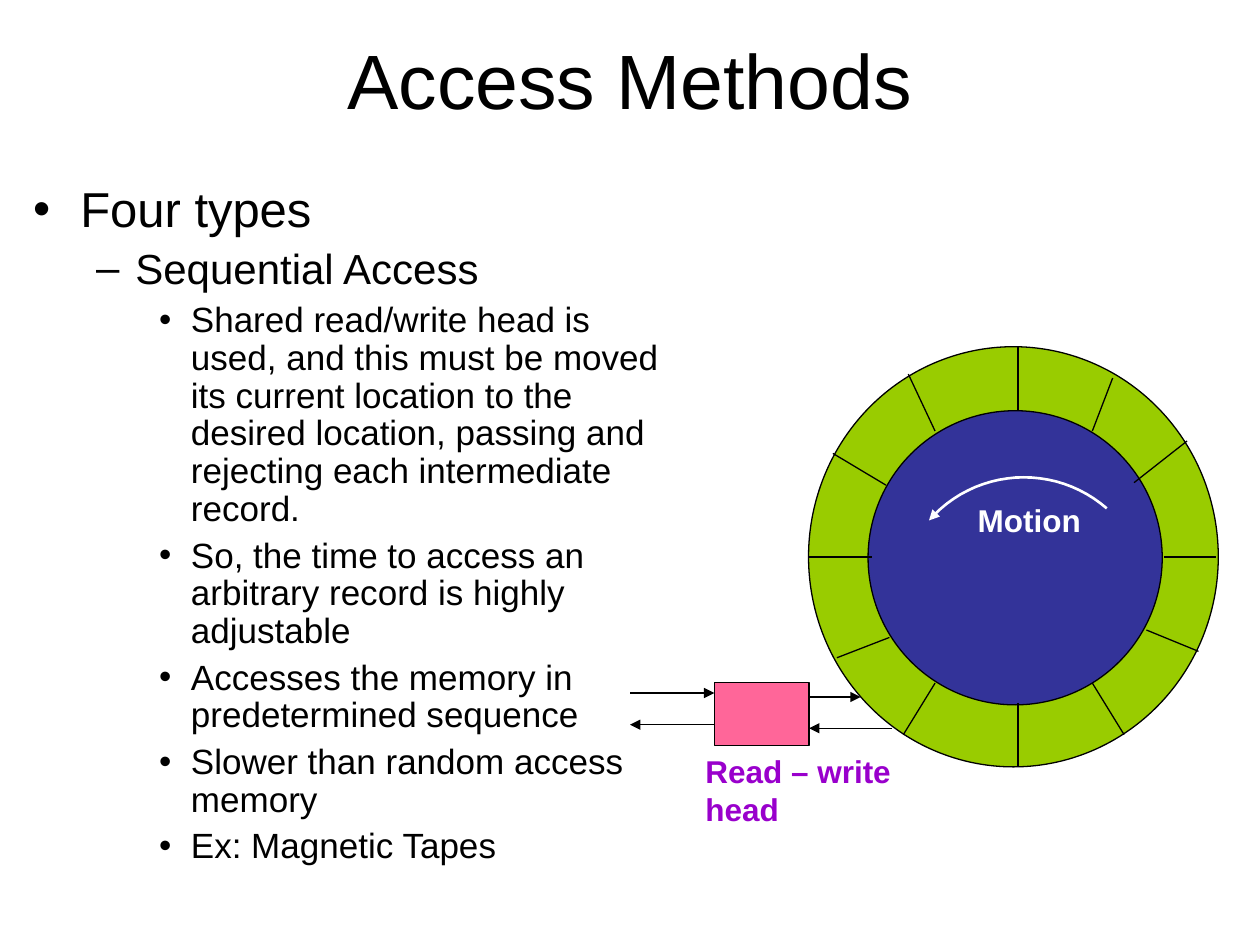
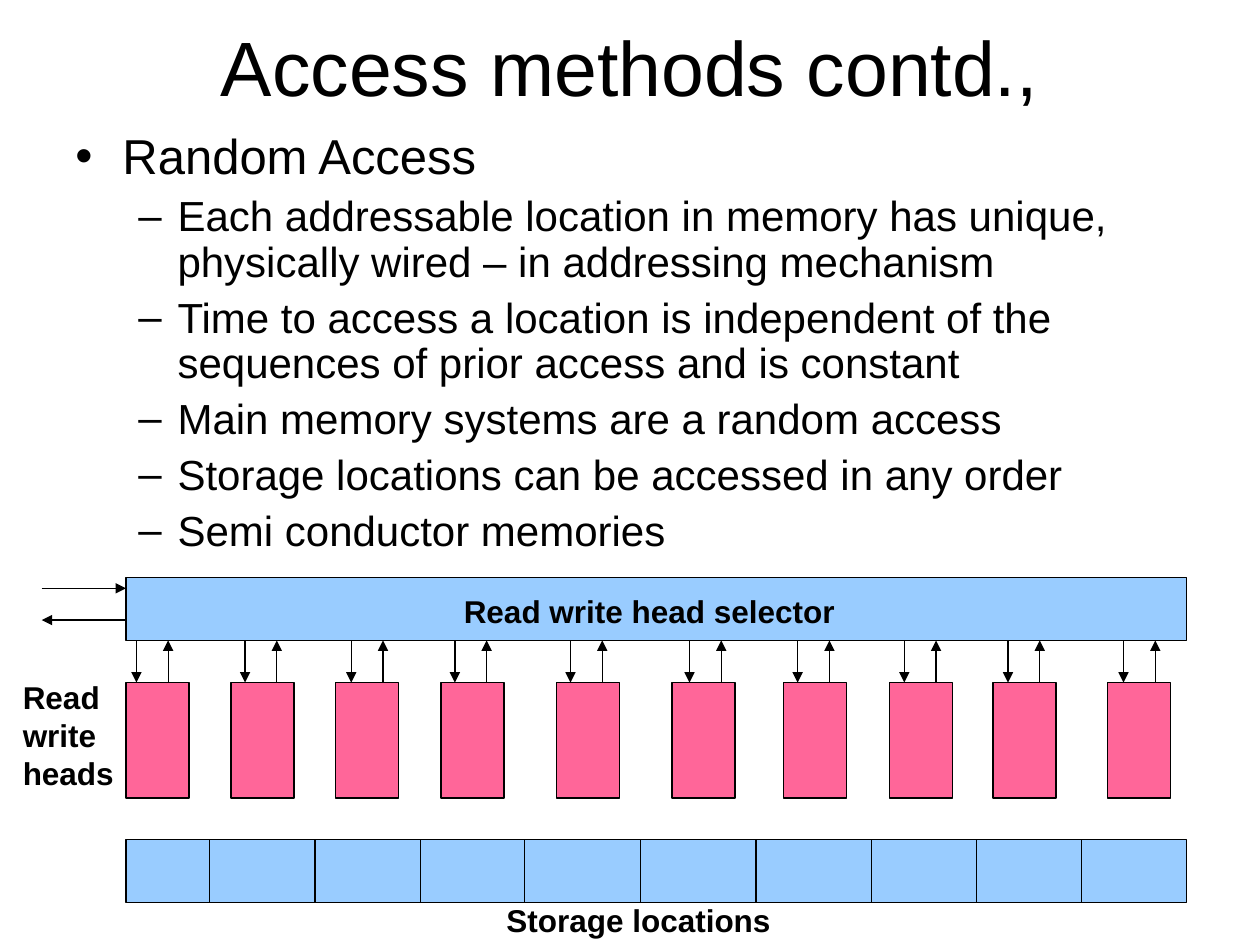
from dataclasses import dataclass
from math import cos, pi, sin
from typing import NamedTuple

from lxml import etree
from pptx import Presentation
from pptx.dml.color import RGBColor
from pptx.enum.shapes import MSO_CONNECTOR, MSO_SHAPE
from pptx.enum.text import MSO_ANCHOR, PP_ALIGN
from pptx.oxml.ns import qn
from pptx.slide import Slide
from pptx.text.text import TextFrame
from pptx.util import Cm, Pt

STRAIGHT = MSO_CONNECTOR.STRAIGHT
ELLIPSE = MSO_SHAPE.OVAL
RECTANGLE = MSO_SHAPE.RECTANGLE
MIDDLE = MSO_ANCHOR.MIDDLE
TOP = MSO_ANCHOR.TOP
CENTER = PP_ALIGN.CENTER
LEFT = PP_ALIGN.LEFT

BLACK = RGBColor(0x00, 0x00, 0x00)
WHITE = RGBColor(0xFF, 0xFF, 0xFF)
GREEN = RGBColor(0x99, 0xCC, 0x00)
NAVY = RGBColor(0x33, 0x33, 0x99)
PINK = RGBColor(0xFF, 0x66, 0x99)
SKY = RGBColor(0x99, 0xCC, 0xFF)
PURPLE = RGBColor(0x99, 0x00, 0xCC)

FONT = "Arial"
TITLE_SIZE = 44
LABEL_SIZE = 18
THIN = Pt(0.75)


class Area(NamedTuple):
    left: float
    top: float
    width: float
    height: float


class Segment(NamedTuple):
    x1: float
    y1: float
    x2: float
    y2: float


class Head(NamedTuple):
    left: float
    arrow: float


@dataclass(frozen=True)
class Level:
    bullet: str
    margin: float
    hang: float
    size: int
    before: int


@dataclass(frozen=True)
class Item:
    level: int
    text: str


@dataclass(frozen=True)
class Label:
    text: str
    area: Area
    color: RGBColor = BLACK
    wrap: bool = True


LEVELS = [
    Level("•", 0.95, 0.95, 28, 7),
    Level("–", 2.06, 0.79, 24, 6),
    Level("•", 3.18, 0.64, 20, 5),
]

SEQUENTIAL_ITEMS = [
    Item(0, "Four types"),
    Item(1, "Sequential Access"),
    Item(2, "Shared read/write head is used, and this must be moved its current "
            "location to the desired location, passing and rejecting each "
            "intermediate record."),
    Item(2, "So, the time to access an arbitrary record is highly adjustable"),
    Item(2, "Accesses the memory in predetermined sequence"),
    Item(2, "Slower than random access memory"),
    Item(2, "Ex: Magnetic Tapes"),
]

RANDOM_ITEMS = [
    Item(0, "Random Access"),
    Item(1, "Each addressable location in memory has unique, physically wired – "
            "in addressing mechanism"),
    Item(1, "Time to access a location is independent of the sequences of prior "
            "access and is constant"),
    Item(1, "Main memory systems are a random access"),
    Item(1, "Storage locations can be accessed in any order"),
    Item(1, "Semi conductor memories"),
]

SECTOR_LINES = [
    Segment(20.52, 14.17, 20.52, 15.44),
    Segment(20.52, 6.99, 20.52, 8.26),
    Segment(16.31, 11.23, 17.58, 11.23),
    Segment(23.47, 11.23, 24.51, 11.23),
    Segment(16.79, 9.14, 17.86, 9.78),
    Segment(18.31, 7.54, 18.85, 8.69),
    Segment(23.11, 12.7, 24.16, 13.13),
    Segment(22.02, 13.77, 22.66, 14.81),
    Segment(16.87, 13.26, 17.93, 12.85),
    Segment(18.21, 14.81, 18.85, 13.77),
    Segment(22.43, 7.62, 22.02, 8.69),
    Segment(23.93, 8.89, 22.86, 9.73),
]

HEAD_ARROWS = [
    Segment(12.7, 13.97, 14.4, 13.97),
    Segment(14.4, 14.61, 12.7, 14.61),
    Segment(17.98, 14.68, 16.31, 14.68),
    Segment(16.31, 14.05, 17.35, 14.05),
]

SELECTOR_ARROWS = [
    Segment(0.84, 11.86, 2.54, 11.86),
    Segment(2.54, 12.5, 0.84, 12.5),
]

HEADS = [
    Head(2.54, 2.75), Head(4.66, 4.94), Head(6.77, 7.08), Head(8.89, 9.17),
    Head(11.22, 11.5), Head(13.55, 13.9), Head(15.8, 16.08),
    Head(17.93, 18.23), Head(20.02, 20.32), Head(22.33, 22.65),
]
DIVIDERS = [4.23, 6.35, 8.47, 10.58, 12.91, 15.24, 17.57, 19.69, 21.8]

SELECTOR = Area(2.54, 11.64, 21.38, 1.27)
STORAGE = Area(2.54, 16.93, 21.38, 1.27)
HEAD_TOP = 13.76
HEAD_WIDTH = 1.27
HEAD_HEIGHT = 2.33
ARROW_GAP = 0.64

SEQUENTIAL_LABELS = [
    Label("Read – write head", Area(13.97, 15.03, 4.45, 1.78), PURPLE),
    Label("Motion", Area(19.46, 9.98, 2.77, 1.02), WHITE, wrap=False),
]
RANDOM_LABELS = [
    Label("Read write heads", Area(0.21, 13.55, 3, 2.54)),
    Label("Read write head selector", Area(9.1, 11.81, 14.6, 1.02)),
    Label("Storage locations", Area(9.96, 18.04, 5.84, 1.02), wrap=False),
]


def add_text_box(page: Slide, area: Area, anchor=TOP, wrap: bool = True) -> TextFrame:
    box = page.shapes.add_textbox(*map(Cm, area))
    frame = box.text_frame
    frame.word_wrap = wrap
    frame.vertical_anchor = anchor
    return frame


def add_span(para, text: str, size: int, color: RGBColor = BLACK, bold: bool = False) -> None:
    span = para.add_run()
    span.text = text
    span.font.name = FONT
    span.font.size = Pt(size)
    span.font.bold = bold
    span.font.color.rgb = color


def add_title(page: Slide, text: str, area: Area) -> None:
    para = add_text_box(page, area, MIDDLE).paragraphs[0]
    para.alignment = CENTER
    add_span(para, text, TITLE_SIZE)


def add_outline(page: Slide, items: list[Item], area: Area) -> None:
    frame = add_text_box(page, area)
    for index, item in enumerate(items):
        level = LEVELS[item.level]
        para = frame.add_paragraph() if index else frame.paragraphs[0]
        properties = para._p.get_or_add_pPr()
        properties.set("marL", str(Cm(level.margin)))
        properties.set("indent", str(-Cm(level.hang)))
        etree.SubElement(properties, qn("a:buFont")).set("typeface", FONT)
        etree.SubElement(properties, qn("a:buChar")).set("char", level.bullet)
        para.level = item.level
        para.alignment = LEFT
        para.line_spacing = 0.9
        if index:
            para.space_before = Pt(level.before)
        add_span(para, item.text, level.size)


def add_labels(page: Slide, labels: list[Label]) -> None:
    for label in labels:
        frame = add_text_box(page, label.area, wrap=label.wrap)
        add_span(frame.paragraphs[0], label.text, LABEL_SIZE, label.color, bold=True)


def add_block(page: Slide, preset, area: Area, fill: RGBColor) -> None:
    block = page.shapes.add_shape(preset, *map(Cm, area))
    block.shadow.inherit = False
    block.fill.solid()
    block.fill.fore_color.rgb = fill
    block.line.color.rgb = BLACK
    block.line.width = THIN


def add_line(page: Slide, segment: Segment, arrow: bool = False) -> None:
    line = page.shapes.add_connector(STRAIGHT, *map(Cm, segment))
    line.line.color.rgb = BLACK
    line.line.width = THIN
    if arrow:
        etree.SubElement(line.line._get_or_add_ln(), qn("a:tailEnd")).set("type", "triangle")
    etree.SubElement(line._element.spPr, qn("a:effectLst"))


def add_motion_arc(page: Slide, left: float, top: float, radius: float) -> None:
    steps = 24
    angles = [pi / 2 * step / steps for step in range(steps + 1)]
    points = [
        (Cm(left + radius * sin(angle)), Cm(top + radius * (1 - cos(angle))))
        for angle in angles
    ]
    builder = page.shapes.build_freeform(*points[0])
    builder.add_line_segments(points[1:], close=False)
    arc = builder.convert_to_shape()
    arc.shadow.inherit = False
    arc.fill.background()
    arc.line.color.rgb = WHITE
    arc.line.width = Pt(1.5)
    etree.SubElement(arc.line._get_or_add_ln(), qn("a:headEnd")).set("type", "triangle")
    arc.rotation = 311.1


def build_sequential_page(page: Slide) -> None:
    add_title(page, "Access Methods", Area(1.27, 0, 22.86, 3.18))
    add_outline(page, SEQUENTIAL_ITEMS, Area(0.42, 3.6, 13.55, 14.82))
    add_block(page, ELLIPSE, Area(16.3, 6.99, 8.26, 8.47), GREEN)
    add_block(page, ELLIPSE, Area(17.5, 8.28, 5.93, 5.93), NAVY)
    for segment in SECTOR_LINES:
        add_line(page, segment)
    add_motion_arc(page, 19.25, 9.1, 2.54)
    add_block(page, RECTANGLE, Area(14.4, 13.76, 1.91, 1.27), PINK)
    for segment in HEAD_ARROWS:
        add_line(page, segment, arrow=True)
    add_labels(page, SEQUENTIAL_LABELS)


def build_random_page(page: Slide) -> None:
    add_title(page, "Access methods contd.,", Area(1.27, 0.21, 22.86, 2.22))
    add_outline(page, RANDOM_ITEMS, Area(1.27, 2.54, 22.86, 8.97))
    add_block(page, RECTANGLE, SELECTOR, SKY)
    selector_bottom = SELECTOR.top + SELECTOR.height
    for head in HEADS:
        add_block(page, RECTANGLE, Area(head.left, HEAD_TOP, HEAD_WIDTH, HEAD_HEIGHT), PINK)
        add_line(page, Segment(head.arrow, selector_bottom, head.arrow, HEAD_TOP), arrow=True)
        back = head.arrow + ARROW_GAP
        add_line(page, Segment(back, HEAD_TOP, back, selector_bottom), arrow=True)
    add_block(page, RECTANGLE, STORAGE, SKY)
    for divider in DIVIDERS:
        add_line(page, Segment(divider, STORAGE.top, divider, STORAGE.top + STORAGE.height))
    for segment in SELECTOR_ARROWS:
        add_line(page, segment, arrow=True)
    add_labels(page, RANDOM_LABELS)


def main() -> None:
    deck = Presentation()
    deck.slide_width = Cm(25.4)
    deck.slide_height = Cm(19.05)
    blank = deck.slide_layouts[6]
    for build_page in (build_sequential_page, build_random_page):
        build_page(deck.slides.add_slide(blank))
    deck.save("out.pptx")


if __name__ == "__main__":
    main()
